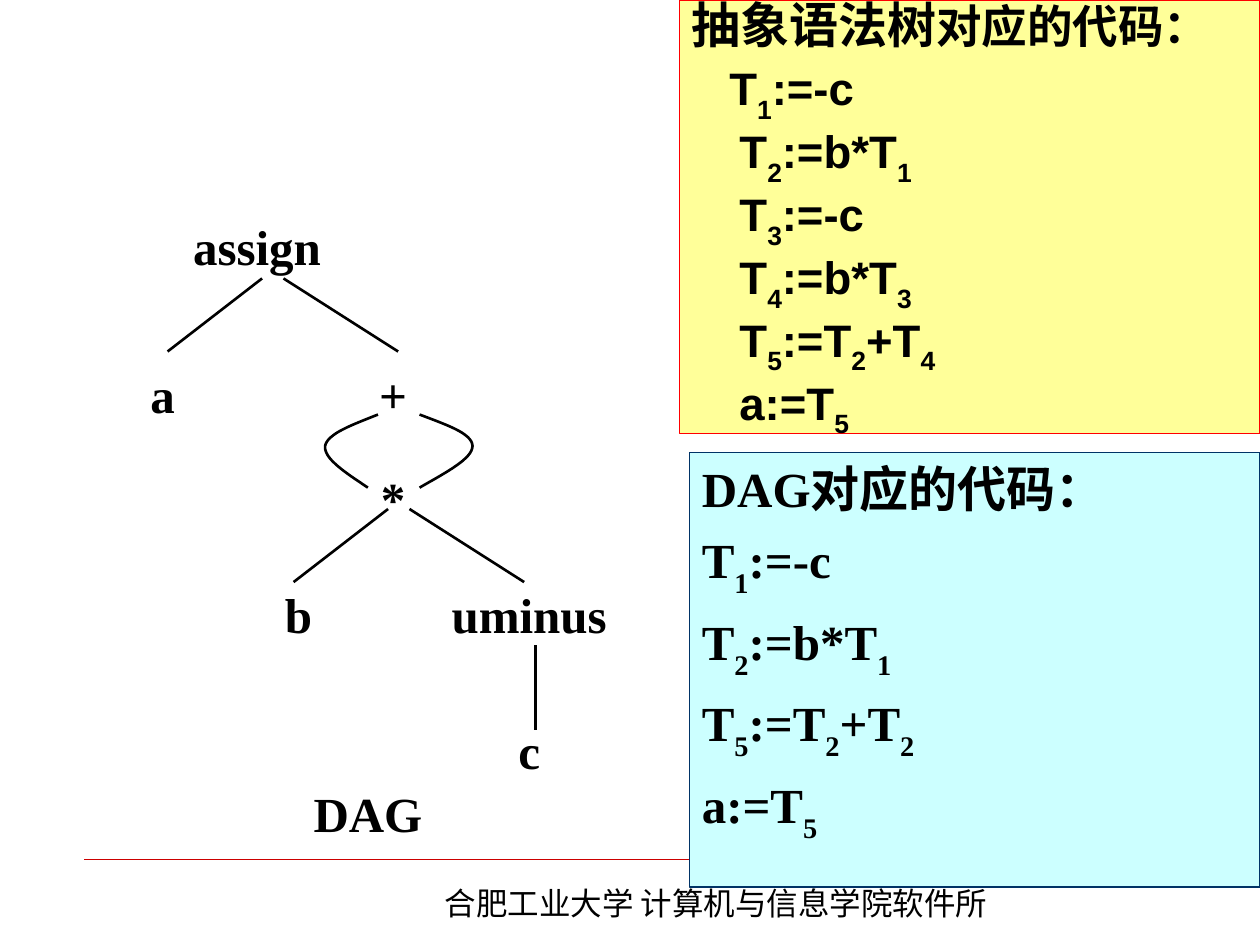
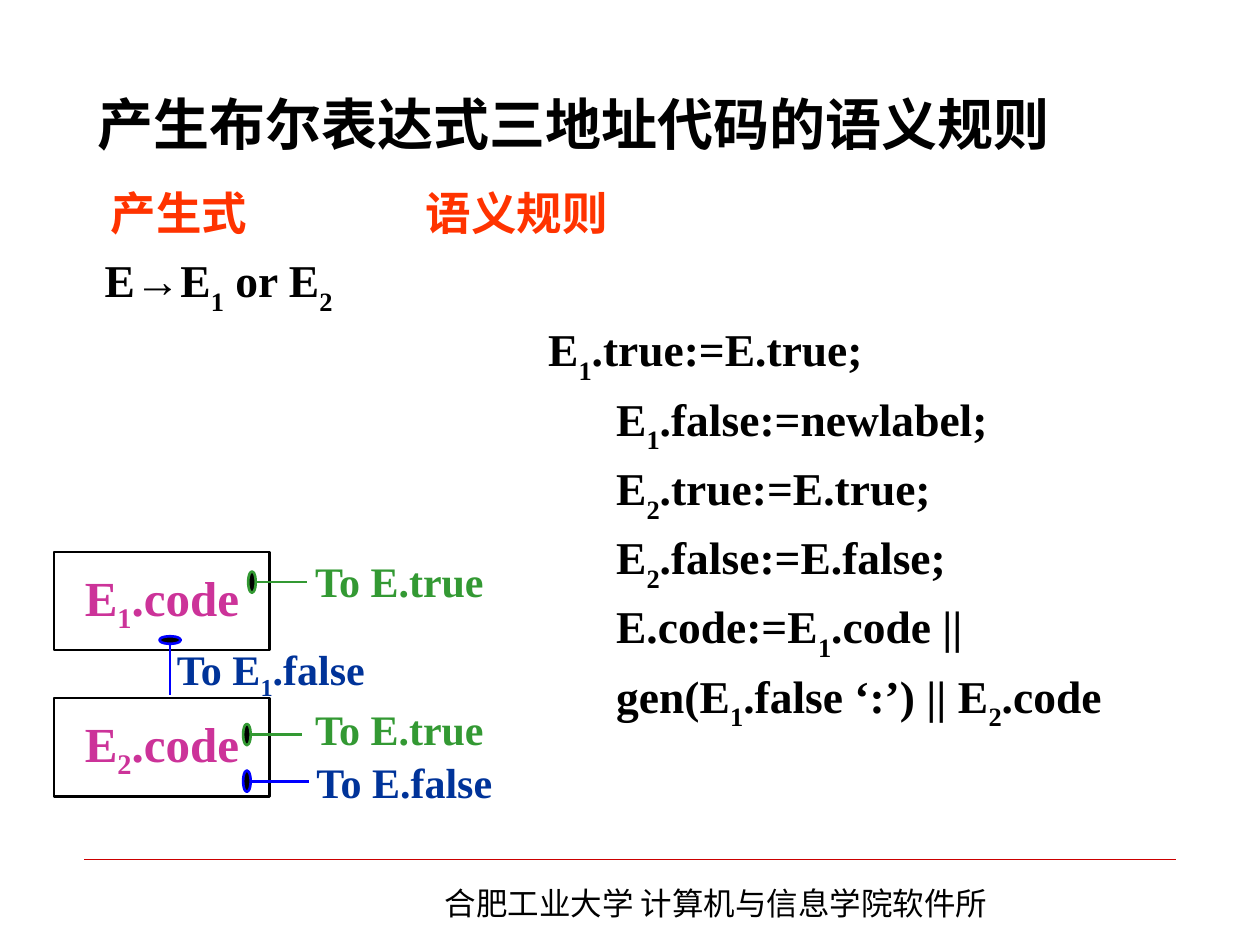
from lxml.etree import SubElement
from pptx import Presentation
from pptx.dml.color import RGBColor
from pptx.enum.shapes import MSO_CONNECTOR, MSO_SHAPE
from pptx.enum.text import MSO_ANCHOR, MSO_AUTO_SIZE, PP_ALIGN
from pptx.oxml.ns import qn
from pptx.util import Inches, Pt

BLACK = RGBColor(0x00, 0x00, 0x00)
RULE_RED = RGBColor(0xCC, 0x00, 0x00)
RED = RGBColor(0xFF, 0x00, 0x00)
HEADING_RED = RGBColor(0xFF, 0x33, 0x00)
YELLOW = RGBColor(0xFF, 0xFF, 0x99)
CYAN = RGBColor(0xCC, 0xFF, 0xFF)
NAVY = RGBColor(0x00, 0x33, 0x66)
MAGENTA = RGBColor(0xCC, 0x33, 0x99)
GREEN = RGBColor(0x33, 0x99, 0x33)
LABEL_BLUE = RGBColor(0x00, 0x33, 0x99)
BLUE = RGBColor(0x00, 0x00, 0xFF)
SERIF = "Times New Roman"
CHINESE = "Noto Sans CJK SC"


def add_runs(paragraph, text, size, color, font=SERIF, bold=True, baseline=-30):
    first, *rest = text.split("_")
    pieces = [(first, False)]
    for part in rest:
        pieces += [(part[0], True), (part[1:], False)]
    for piece, lowered in pieces:
        if not piece:
            continue
        run = paragraph.add_run()
        run.text = piece
        run.font.size = Pt(size)
        run.font.bold = bold
        run.font.color.rgb = color
        run.font.name = font
        properties = run._r.get_or_add_rPr()
        SubElement(properties, qn("a:ea")).set("typeface", CHINESE)
        if lowered:
            properties.set("baseline", str(baseline * 1000))


def add_line(slide, x1, y1, x2, y2, color=BLACK, width=1.5):
    line = slide.shapes.add_connector(
        MSO_CONNECTOR.STRAIGHT, Inches(x1), Inches(y1), Inches(x2), Inches(y2))
    line.line.color.rgb = color
    line.line.width = Pt(width)
    SubElement(line._element.spPr, qn("a:effectLst"))
    return line


presentation = Presentation()
presentation.slide_width = Inches(10)
presentation.slide_height = Inches(7.5)
layout = presentation.slide_layouts[1]
dag_slide = presentation.slides.add_slide(layout)
rules_slide = presentation.slides.add_slide(layout)

footer_rule = add_line(dag_slide, 0.67, 6.82, 9.33, 6.82, RULE_RED, 0.25)
footer = dag_slide.shapes.add_textbox(Inches(3.43), Inches(6.97), Inches(5.04), Inches(0.4))
footer.text_frame.word_wrap = True
add_runs(footer.text_frame.paragraphs[0], "合肥工业大学 计算机与信息学院软件所",
         18, BLACK, CHINESE, bold=False)
for number, shape in enumerate((footer_rule, footer), start=20):
    shape._element._nvXxPr.cNvPr.set("id", str(number))
    layout.shapes._spTree.append(shape._element)

empty_title = dag_slide.shapes.title._element
empty_title.getparent().remove(empty_title)

title = rules_slide.shapes.title
title.left, title.top, title.width, title.height = map(Inches, (0.67, 0.37, 9.08, 1.21))
title.text_frame.vertical_anchor = MSO_ANCHOR.MIDDLE
title.text_frame.auto_size = MSO_AUTO_SIZE.NONE
title_paragraph = title.text_frame.paragraphs[0]
title_paragraph.alignment = PP_ALIGN.LEFT
add_runs(title_paragraph, "产生布尔表达式三地址代码的语义规则", 32, BLACK, "DejaVu Sans")

dag_code = dag_slide.placeholders[1]
dag_code.left, dag_code.top, dag_code.width, dag_code.height = map(
    Inches, (5.47, 3.59, 4.53, 3.45))
tree_code = dag_slide.shapes.add_shape(
    MSO_SHAPE.RECTANGLE, Inches(5.39), Inches(0), Inches(4.61), Inches(3.44))
tree_code.shadow.inherit = False
for panel, fill, border in ((dag_code, CYAN, NAVY), (tree_code, YELLOW, RED)):
    panel.fill.solid()
    panel.fill.fore_color.rgb = fill
    panel.line.color.rgb = border
    panel.line.width = Pt(0.75)

rules = rules_slide.placeholders[1]
rules.left, rules.top, rules.width, rules.height = map(Inches, (0.27, 1.47, 9.73, 4.92))

HEADING_INDENT = 0.51
RULE_COLUMN = 4.52
blocks = [
    (dag_code, SERIF, 28, 1, 7, [
        (0, "DAG对应的代码："),
        (0, "T_1:=-c"),
        (0, "T_2:=b*T_1"),
        (0, "T_5:=T_2+T_2"),
        (0, "a:=T_5"),
    ]),
    (tree_code, "Arial", 26, 0.8, 6.5, [
        (0, ""),
        (0.3, "T_1:=-c"),
        (0.38, "T_2:=b*T_1"),
        (0.38, "T_3:=-c"),
        (0.38, "T_4:=b*T_3"),
        (0.38, "T_5:=T_2+T_4"),
        (0.38, "a:=T_5"),
    ]),
    (rules, SERIF, 26, 0.9, 6.5, [
        (HEADING_INDENT, "\t产生式\t\t\t语义规则"),
        (0.46, "E→E_1 or E_2"),
        (3.98, "E_1.true:=E.true;"),
        (RULE_COLUMN, "E_1.false:=newlabel;"),
        (RULE_COLUMN, "E_2.true:=E.true;"),
        (RULE_COLUMN, "E_2.false:=E.false;"),
        (RULE_COLUMN, "E.code:=E_1.code ||"),
        (RULE_COLUMN, "gen(E_1.false ‘:’) || E_2.code"),
    ]),
]
for shape, font, size, line_spacing, space_before, rows in blocks:
    frame = shape.text_frame
    frame.word_wrap = True
    frame.auto_size = MSO_AUTO_SIZE.NONE
    frame.vertical_anchor = MSO_ANCHOR.TOP
    for index, (margin, text) in enumerate(rows):
        is_heading = "\t" in text
        paragraph = frame.add_paragraph() if index else frame.paragraphs[0]
        properties = paragraph._p.get_or_add_pPr()
        properties.set("marL", str(Inches(margin)))
        properties.set("indent", str(-Inches(margin) if is_heading else 0))
        SubElement(properties, qn("a:buNone"))
        if is_heading:
            tabs = SubElement(properties, qn("a:tabLst"))
            for position in range(8):
                tab = SubElement(tabs, qn("a:tab"))
                tab.set("pos", str(Inches(position)))
                tab.set("algn", "l")
        paragraph.alignment = PP_ALIGN.LEFT
        paragraph.line_spacing = line_spacing
        paragraph.space_before = Pt(space_before if index else 0)
        add_runs(paragraph, text, size, HEADING_RED if is_heading else BLACK, font)

tree_heading = tree_code.text_frame.paragraphs[0]
add_runs(tree_heading, "抽象语法树", 28, BLACK, "Arial")
add_runs(tree_heading, "对应的代码：", 26, BLACK, "Arial")

tree_nodes = [
    ("assign", 1.5, 1.62), ("a", 0.75, 2.79), ("+", 2.58, 2.79), ("*", 2.58, 3.62),
    ("b", 1.83, 4.54), ("uminus", 3.66, 4.54), ("c", 3.66, 5.62), ("DAG", 2.38, 6.12),
]
labels = [(dag_slide, text, left - 0.11, top, 1.3, 0.67, 28, BLACK)
          for text, left, top in tree_nodes]
labels += [
    (rules_slide, "E_1.code", 0.43, 4.38, 1.71, 0.78, 28, MAGENTA),
    (rules_slide, "E_2.code", 0.43, 5.54, 1.71, 0.78, 28, MAGENTA),
    (rules_slide, "To E.true", 2.42, 4.3, 1.5, 0.61, 24, GREEN),
    (rules_slide, "To E_1.false", 1.35, 5.03, 1.6, 0.61, 24, LABEL_BLUE),
    (rules_slide, "To E.true", 2.42, 5.48, 1.5, 0.61, 24, GREEN),
    (rules_slide, "To E.false", 2.46, 5.93, 1.5, 0.55, 24, LABEL_BLUE),
]
for slide, text, left, top, width, height, size, color in labels:
    bounds = [Inches(value) for value in (left, top, width, height)]
    if color == MAGENTA:
        label = slide.shapes.add_shape(MSO_SHAPE.RECTANGLE, *bounds)
        label.shadow.inherit = False
        label.fill.background()
        label.line.color.rgb = BLACK
        label.line.width = Pt(1.5)
    else:
        label = slide.shapes.add_textbox(*bounds)
    frame = label.text_frame
    frame.word_wrap = False
    frame.margin_left = frame.margin_right = 0
    frame.vertical_anchor = MSO_ANCHOR.MIDDLE
    paragraph = frame.paragraphs[0]
    paragraph.alignment = PP_ALIGN.CENTER
    add_runs(paragraph, text, size, color, baseline=-25)

for x, y in ((2.08, 2.21), (3.08, 4.04)):
    add_line(dag_slide, x, y, x - 0.75, y + 0.58)
    add_line(dag_slide, x + 0.17, y, x + 1.08, y + 0.58)
add_line(dag_slide, 4.25, 5.12, 4.25, 5.79)

STEPS = 16
double_edges = [
    [(3, 3.29), (2.8, 3.37), (2.6, 3.44), (2.58, 3.54), (2.57, 3.64), (2.74, 3.75), (2.92, 3.87)],
    [(3.33, 3.29), (3.54, 3.37), (3.75, 3.44), (3.75, 3.54), (3.75, 3.64), (3.54, 3.75), (3.33, 3.87)],
]
for controls in double_edges:
    points = []
    for start in (0, 3):
        for step in range(1, STEPS + 1):
            t = step / STEPS
            weights = ((1 - t) ** 3, 3 * t * (1 - t) ** 2, 3 * t ** 2 * (1 - t), t ** 3)
            points.append(tuple(
                Inches(sum(weight * point[axis]
                           for weight, point in zip(weights, controls[start:start + 4])))
                for axis in (0, 1)))
    builder = dag_slide.shapes.build_freeform(*map(Inches, controls[0]))
    builder.add_line_segments(points, close=False)
    edge = builder.convert_to_shape()
    edge.shadow.inherit = False
    edge.fill.background()
    edge.line.color.rgb = BLACK
    edge.line.width = Pt(1.5)

exits = [
    (2, 4.62, 0.06, 0.17, 2.44, 4.62, GREEN),
    (1.35, 5.08, 0.17, 0.06, 1.35, 5.52, BLUE),
    (1.96, 5.83, 0.06, 0.17, 2.4, 5.83, GREEN),
    (1.96, 6.2, 0.06, 0.17, 2.45, 6.2, BLUE),
]
for x, y, width, height, end_x, end_y, color in exits:
    add_line(rules_slide, x, y, end_x, end_y, color)
    dot = rules_slide.shapes.add_shape(
        MSO_SHAPE.OVAL, Inches(x - width / 2), Inches(y - height / 2),
        Inches(width), Inches(height))
    dot.shadow.inherit = False
    dot.fill.solid()
    dot.fill.fore_color.rgb = BLACK
    dot.line.color.rgb = color
    dot.line.width = Pt(1.5)

presentation.save("out.pptx")
